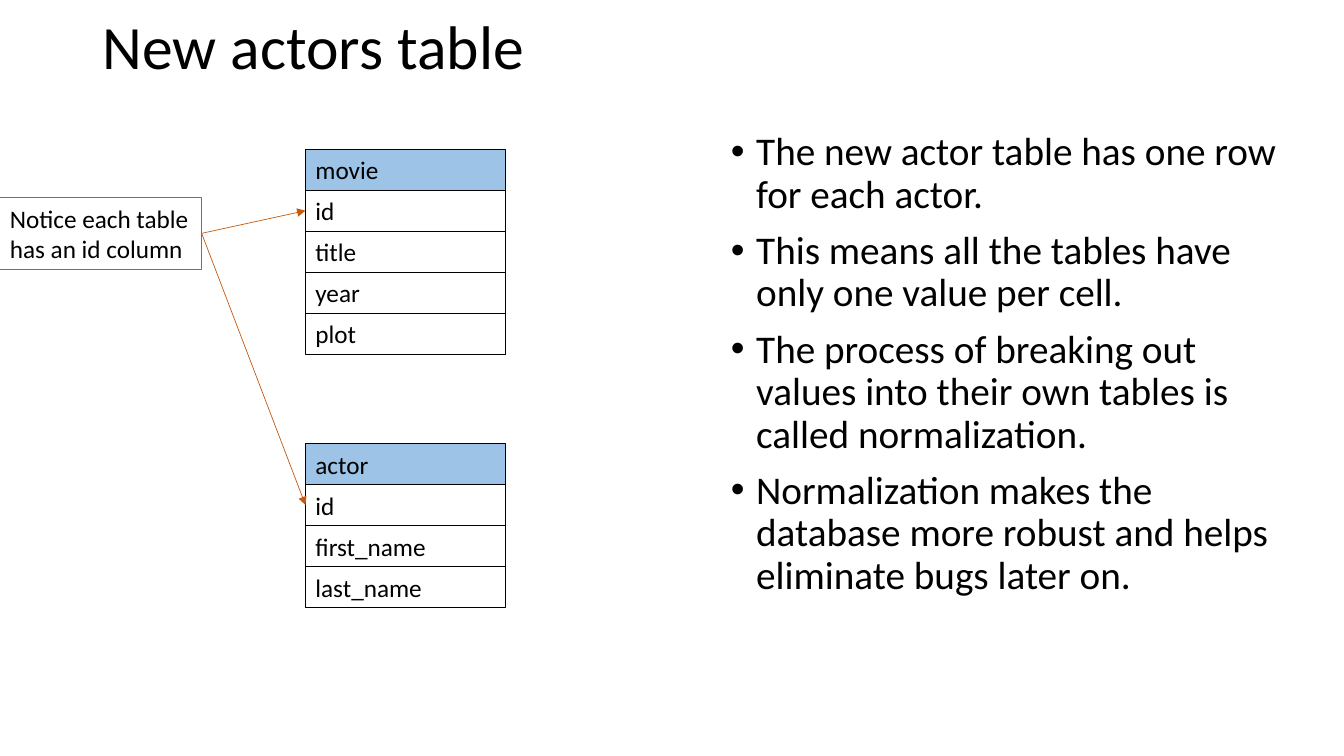
from pptx import Presentation
from pptx import util as u
from pptx.dml.color import RGBColor
from pptx.enum import shapes, text
from pptx.oxml.ns import qn
from lxml import etree

# Content
TITLE = "New actors table"
POINTS = [
    "The new actor table has one row for each actor.",
    "This means all the tables have only one value per cell.",
    "The process of breaking out values into their own tables is called normalization.",
    "Normalization makes the database more robust and helps eliminate bugs later on.",
]
TABLES = [  # top in inches, heading and columns
    (1.48, ["movie", "id", "title", "year", "plot"]),
    (4.4, ["actor", "id", "first_name", "last_name"]),
]
NOTE = ["Notice each table", "has an id column"]

# Format
BLACK, BLUE, RUST = "000000", "9DC3E6", "C55A11"
LEFT, WIDE, ROW = u.Inches(3.03), u.Inches(1.98), u.Pt(29.3)
FRAME = dict(auto_size=text.MSO_AUTO_SIZE.NONE, word_wrap=True)


def color(code):
    return RGBColor.from_string(code)


def assign(item, values):
    for name, value in values.items():
        setattr(item, name, value)


def place(shape, *box):
    assign(shape, dict(zip(("left", "top", "width", "height"), map(u.Inches, box))))


def write(shape, lines, size, para, **frame):
    tf = shape.text_frame
    assign(tf, {**FRAME, **frame})
    tf.text = "\n".join(lines)
    for p in tf.paragraphs:
        assign(p, dict(alignment=text.PP_ALIGN.LEFT, **para))
        for run in p.runs:
            assign(run.font, dict(name="Calibri", size=u.Pt(size)))
            run.font.color.rgb = color(BLACK)


def draw_box(parent, box, lines, edge, fill=None, wrap=True):
    shape = parent.add_shape(shapes.MSO_SHAPE.RECTANGLE, *box)
    shape.shadow.inherit = False
    if fill:
        shape.fill.solid()
        shape.fill.fore_color.rgb = color(fill)
    else:
        shape.fill.background()
    shape.line.color.rgb = color(edge)
    shape.line.width = u.Pt(0.75)
    write(shape, lines, 18, {}, word_wrap=wrap,
          vertical_anchor=text.MSO_ANCHOR.MIDDLE)
    return shape


def join(slide, start, end):
    line = slide.shapes.add_connector(shapes.MSO_CONNECTOR.STRAIGHT, 0, 0, 0, 0)
    line.begin_connect(start, 3)
    line.end_connect(end, 1)
    line.line.color.rgb = color(RUST)
    line.line.width = u.Pt(0.5)
    etree.SubElement(line.line._get_or_add_ln(), qn("a:tailEnd"), type="triangle")
    etree.SubElement(line._element.spPr, qn("a:effectLst"))


def main():
    prs = Presentation()
    prs.slide_width, prs.slide_height = u.Inches(13.33), u.Inches(7.5)
    slide = prs.slides.add_slide(prs.slide_layouts[1])

    # Title and list
    title, body = slide.placeholders
    place(title, 0.92, 0, 11.5, 0.98)
    write(title, [TITLE], 44, dict(line_spacing=0.9),
          vertical_anchor=text.MSO_ANCHOR.MIDDLE)
    place(body, 7.15, 1.26, 5.67, 4.76)
    write(body, POINTS, 28,
          dict(line_spacing=0.9, space_before=u.Pt(10), space_after=u.Pt(0)),
          vertical_anchor=text.MSO_ANCHOR.TOP)
    for p in body.text_frame.paragraphs:
        ppr = p._p.get_or_add_pPr()
        ppr.set("marL", str(u.Inches(0.25)))
        ppr.set("indent", str(-u.Inches(0.25)))
        etree.SubElement(ppr, qn("a:buFont"), typeface="Arial")
        etree.SubElement(ppr, qn("a:buChar"), char="•")

    # Database tables, one group each
    ids = []
    for top, names in TABLES:
        group = slide.shapes.add_group_shape()
        for i, name in enumerate(names):
            box = LEFT, u.Inches(top) + i * ROW, WIDE, ROW
            cell = draw_box(group.shapes, box, [name], BLACK, None if i else BLUE)
            if name == "id":
                ids.append(cell)

    # Note with an arrow to each id
    box = [u.Inches(n) for n in (0, 1.96, 2, 0.71)]
    note = draw_box(slide.shapes, box, NOTE, RUST, wrap=False)
    for cell in ids:
        join(slide, note, cell)

    prs.save("out.pptx")


if __name__ == "__main__":
    main()
